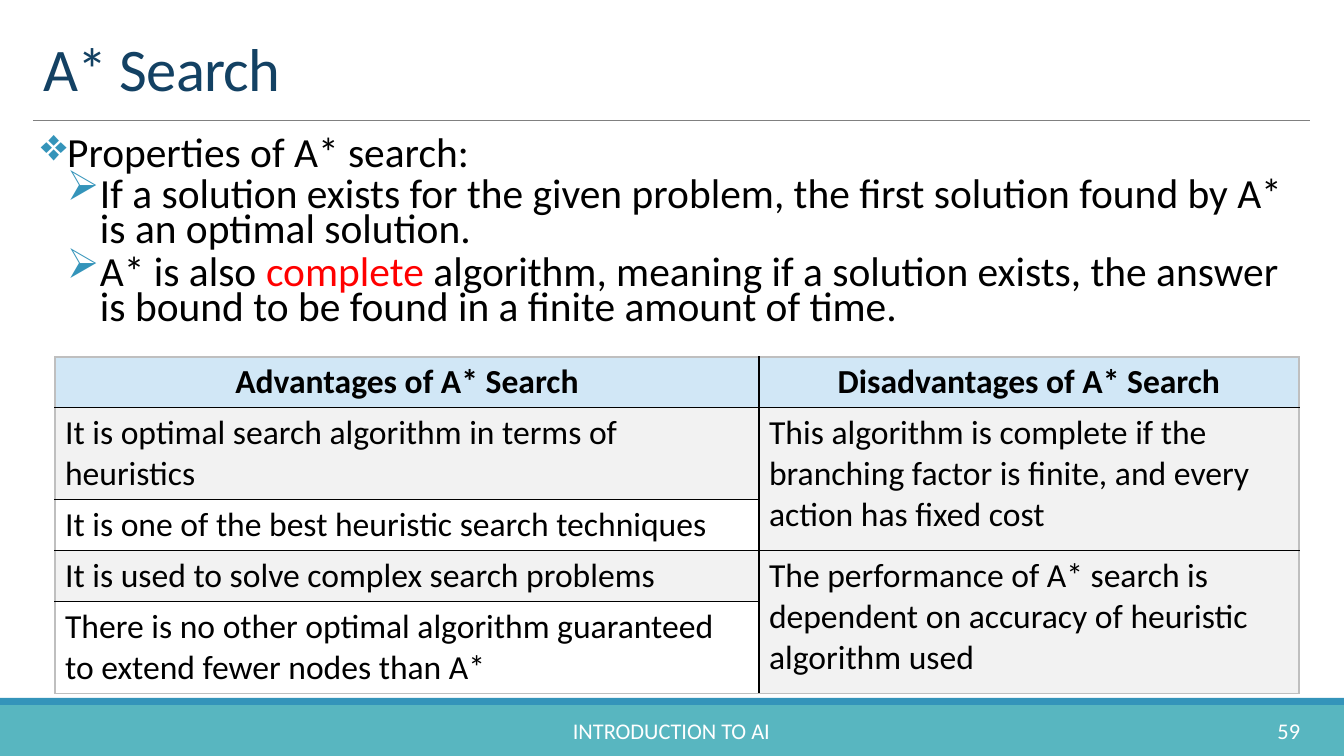
from dataclasses import dataclass

from lxml.etree import SubElement
from pptx import Presentation
from pptx.dml.color import RGBColor
from pptx.enum.shapes import MSO_CONNECTOR as Connector, MSO_SHAPE as Shape
from pptx.enum.text import MSO_ANCHOR as Anchor, MSO_AUTO_SIZE as AutoSize, PP_ALIGN as Align
from pptx.oxml.ns import qn
from pptx.util import Emu, Pt


@dataclass(frozen=True)
class Theme:
    font: str = "Calibri"
    title_size: float = 43.2
    body_size: float = 29.6
    table_size: float = 24
    footer_size: float = 16
    title: str = "134163"
    text: str = "000000"
    highlight: str = "FF0000"
    accent: str = "3494BA"
    footer: str = "58B6C0"
    white: str = "FFFFFF"
    rule: str = "808080"
    header_fill: str = "D1E7F6"
    band_fill: str = "F2F2F2"
    grid: str = "000000"
    frame: str = "BFBFBF"


THEME = Theme()
EMU_PER_PX = 914400 / 100.8

BODY = [
    (0, ["Properties of A* search:"]),
    (1, ["If a solution exists for the given problem, the first solution found by A* "
         "is an optimal solution."]),
    (1, ["A* is also ", "complete", " algorithm, meaning if a solution exists, the answer "
         "is bound to be found in a finite amount of time."]),
]
HIGHLIGHTED = "complete"
BULLETS = [  # character, size %, left px, hanging px, space before pt, space after pt
    ("❖", 110, 33, 25, 12, 2),
    ("➢", 100, 67, 33, 2, 4),
]
ADVANTAGES = [
    "Advantages of A* Search",
    "It is optimal search algorithm in terms of heuristics",
    "It is one of the best heuristic search techniques",
    "It is used to solve complex search problems",
    "There is no other optimal algorithm guaranteed to extend fewer nodes than A*",
]
DISADVANTAGES = {
    0: "Disadvantages of A* Search",
    1: "This algorithm is complete if the branching factor is finite, "
       "and every action has fixed cost",
    3: "The performance of A* search is dependent on accuracy of heuristic algorithm used",
}
COLUMN_WIDTHS = [704, 540]
ROW_HEIGHTS = [50, 92, 51, 51, 92]


def px(length):
    return Emu(round(length * EMU_PER_PX))


def rgb(code):
    return RGBColor.from_string(code)


def set_font(para, size, color, bold=False):
    font = para.font
    font.name, font.size, font.bold = THEME.font, Pt(size), bold
    font.color.rgb = rgb(color)


def add_bar(page, top, height, color):
    bar = page.shapes.add_shape(Shape.RECTANGLE, 0, px(top), px(1344), px(height))
    bar.shadow.inherit = False
    bar.fill.solid()
    bar.fill.fore_color.rgb = rgb(color)
    bar.line.fill.background()


def add_rule(page, left, right, y):
    rule = page.shapes.add_connector(Connector.STRAIGHT, px(left), px(y), px(right), px(y))
    rule.line.color.rgb = rgb(THEME.rule)
    rule.line.width = Pt(0.5)
    SubElement(rule._element.spPr, qn("a:effectLst"))


def set_title(page, text):
    title = page.shapes.title
    title.left, title.top, title.width, title.height = map(px, (33, 31, 1277, 78))
    frame = title.text_frame
    frame.auto_size, frame.word_wrap = AutoSize.NONE, True
    frame.vertical_anchor = Anchor.BOTTOM
    para = frame.paragraphs[0]
    span = para.add_run()
    span.text = text
    span._r.get_or_add_rPr().set("spc", "-50")
    para.alignment, para.line_spacing = Align.LEFT, 0.85
    set_font(para, THEME.title_size, THEME.title)


def add_bullet(para, level):
    character, size, left, hanging, before, after = BULLETS[level]
    para.level = level
    para.line_spacing = 0.7
    para.space_after = Pt(after)
    para.space_before = Pt(before)
    properties = para._p.get_or_add_pPr()
    properties.set("marL", str(px(left)))
    properties.set("indent", str(-px(hanging)))
    color = SubElement(properties, qn("a:buClr"))
    SubElement(color, qn("a:srgbClr"), val=THEME.accent)
    SubElement(properties, qn("a:buSzPct"), val=str(size * 1000))
    SubElement(properties, qn("a:buChar"), char=character)


def add_body(page):
    box = page.shapes.add_textbox(px(33), px(135), px(1277), px(222))
    frame = box.text_frame
    frame.word_wrap = True
    frame.margin_left = frame.margin_right = 0
    for index, (level, pieces) in enumerate(BODY):
        para = frame.add_paragraph() if index else frame.paragraphs[0]
        add_bullet(para, level)
        if index == 0:
            para.space_before = Pt(0)
        set_font(para, THEME.body_size, THEME.text)
        for piece in pieces:
            span = para.add_run()
            span.text = piece
            if piece == HIGHLIGHTED:
                span.font.color.rgb = rgb(THEME.highlight)


def add_footer_text(page, text, left, width, alignment):
    box = page.shapes.add_textbox(px(left), px(711), px(width), px(40))
    frame = box.text_frame
    frame.word_wrap = True
    frame.vertical_anchor = Anchor.MIDDLE
    para = frame.paragraphs[0]
    para.text, para.alignment = text, alignment
    set_font(para, THEME.footer_size, THEME.white)


def set_borders(cell, outer_sides):
    """Draw light lines on the outer sides and dark lines on the others."""
    properties = cell._tc.get_or_add_tcPr()
    for index, side in enumerate("LRTB"):
        outer = side in outer_sides
        line = properties.makeelement(qn(f"a:ln{side}"), {"w": str(Pt(1))})
        fill = SubElement(line, qn("a:solidFill"))
        SubElement(fill, qn("a:srgbClr"), val=THEME.frame if outer else THEME.grid)
        properties.insert(index, line)


def fill_cell(cell, text, row):
    if row % 2 or row == 0:
        cell.fill.solid()
        cell.fill.fore_color.rgb = rgb(THEME.band_fill if row else THEME.header_fill)
    else:
        cell.fill.background()
    if text:
        para = cell.text_frame.paragraphs[0]
        para.text = text
        para.alignment = Align.LEFT if row else Align.CENTER
        set_font(para, THEME.table_size, THEME.text, bold=row == 0)


def add_comparison(page):
    last = len(ROW_HEIGHTS) - 1
    table = page.shapes.add_table(last + 1, 2, px(55), px(357), px(sum(COLUMN_WIDTHS)),
                                  px(sum(ROW_HEIGHTS))).table
    for column, width in zip(table.columns, COLUMN_WIDTHS):
        column.width = px(width)
    for row, height in zip(table.rows, ROW_HEIGHTS):
        row.height = px(height)
    for top in (1, 3):
        table.cell(top, 1).merge(table.cell(top + 1, 1))
    for row, advantage in enumerate(ADVANTAGES):
        ends = ("T" if row == 0 else "") + ("B" if row == last else "")
        for column, text in enumerate((advantage, DISADVANTAGES.get(row))):
            cell = table.cell(row, column)
            # A merged pair reaching the last row ends on the frame.
            reaches_end = column == 1 and row == last - 1
            fill_cell(cell, text, row)
            set_borders(cell, "LR"[column] + ends + ("B" if reaches_end else ""))


def main():
    deck = Presentation()
    deck.slide_width, deck.slide_height = px(1344), px(756)
    page = deck.slides.add_slide(deck.slide_layouts.get_by_name("Title Only"))
    add_bar(page, 705, 51, THEME.footer)
    add_bar(page, 698, 7, THEME.accent)
    add_rule(page, 33, 1310, 120)
    set_title(page, "A* Search")
    add_body(page)
    add_footer_text(page, "INTRODUCTION TO AI", 406, 531, Align.CENTER)
    add_footer_text(page, "59", 1166, 144, Align.RIGHT)
    add_comparison(page)
    deck.save("out.pptx")


if __name__ == "__main__":
    main()
